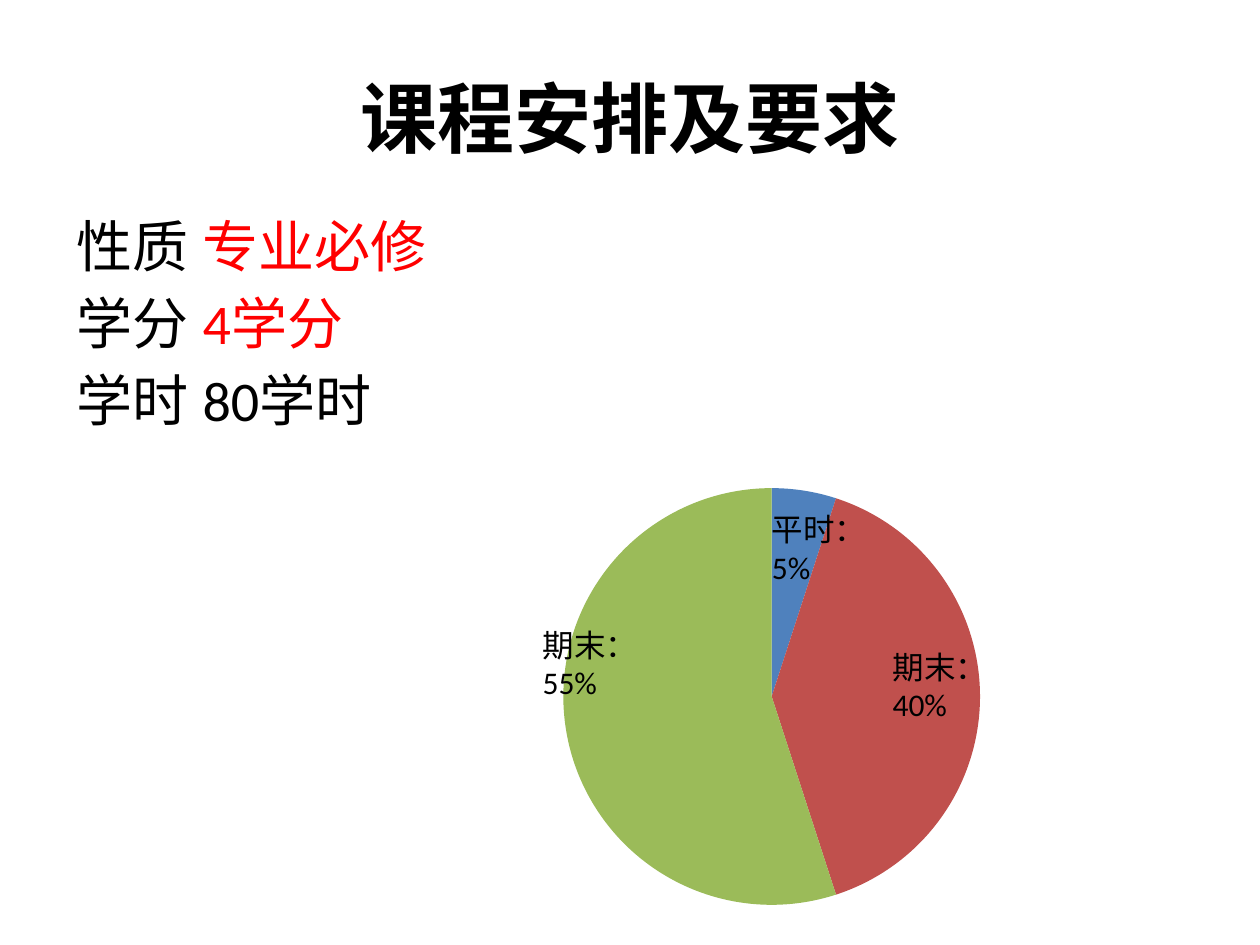
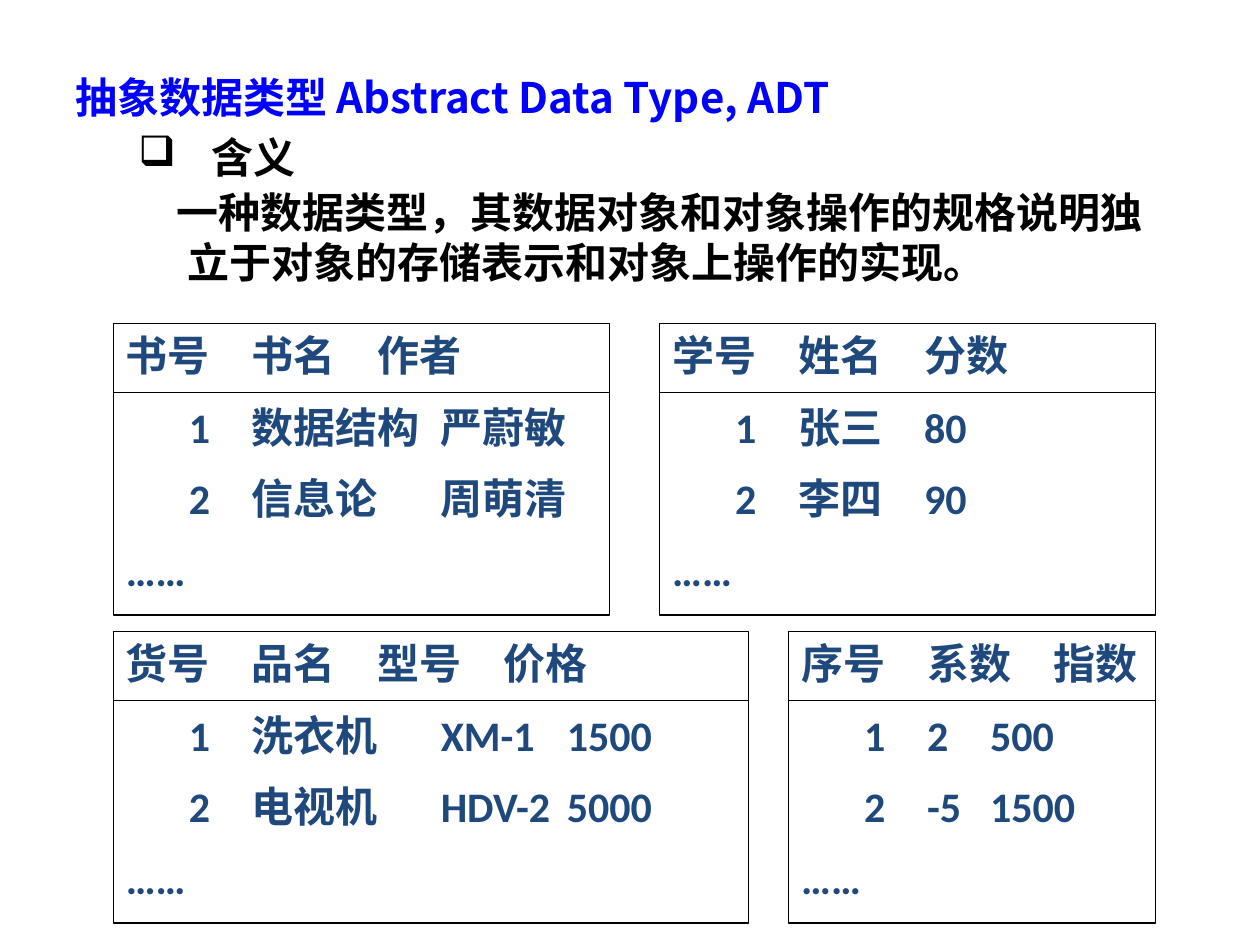
from dataclasses import dataclass

from lxml.etree import SubElement
from pptx import Presentation
from pptx.chart.data import CategoryChartData
from pptx.dml.color import RGBColor
from pptx.enum.chart import XL_CHART_TYPE as ChartType
from pptx.enum.shapes import MSO_CONNECTOR as Connector, MSO_SHAPE as ShapeType
from pptx.enum.text import MSO_ANCHOR as Anchor, PP_ALIGN as Align
from pptx.oxml.ns import qn
from pptx.util import Pt

COLORS = {
    "black": "000000", "white": "FFFFFF", "red": "FF0000", "blue": "0000FF",
    "navy": "1F497D", "usual": "4F81BD", "midterm": "C0504D", "final": "9BBB59",
}
BODY_FONT, TITLE_FONT, SERIF_FONT = "Calibri", "Noto Sans CJK SC", "Times New Roman"


@dataclass(frozen=True)
class Line:
    """One paragraph: (text, colour) runs, tab stops and indents in points."""
    runs: tuple[tuple[str, str], ...]
    tabs: tuple[float, ...] = ()
    left: float = 0
    hanging: float = 0
    bullet: str = ""


@dataclass(frozen=True)
class Record:
    """A framed list: rows of cells with their column positions in points."""
    left: float
    top: float
    width: float
    rows: tuple[tuple[str, tuple[float, ...]], ...]


def rgb(name: str) -> RGBColor:
    return RGBColor.from_string(COLORS[name])


def line(text: str, color: str = "black", **layout) -> Line:
    return Line(((text, color),), **layout)


def write(shape, lines: list[Line], *, size: float = 18, font: str = BODY_FONT,
          bold: bool = False, align=Align.LEFT, anchor=Anchor.TOP,
          before: float = 0, wrap: bool = True) -> None:
    frame = shape.text_frame
    frame.word_wrap = wrap
    frame.vertical_anchor = anchor
    for index, item in enumerate(lines):
        paragraph = frame.add_paragraph() if index else frame.paragraphs[0]
        paragraph.alignment = align
        paragraph.space_before = Pt(before if index else 0)
        properties = paragraph._p.get_or_add_pPr()
        properties.set("marL", str(Pt(item.left)))
        properties.set("indent", str(Pt(-item.hanging)))
        if item.bullet:
            SubElement(properties, qn("a:buChar"), char=item.bullet)
        if item.tabs:
            stops = SubElement(properties, qn("a:tabLst"))
            for position in item.tabs:
                SubElement(stops, qn("a:tab"), pos=str(Pt(position)), algn="l")
        for text, color in item.runs:
            run = paragraph.add_run()
            run.text = text
            run.font.size, run.font.name, run.font.bold = Pt(size), font, bold
            run.font.color.rgb = rgb(color)


def add_text(slide, box: tuple[float, ...], lines: list[Line], **style) -> None:
    write(slide.shapes.add_textbox(*map(Pt, box)), lines, **style)


def add_pie(slide, box: tuple[float, ...], shares: dict[str, int]) -> None:
    data = CategoryChartData()
    data.categories = [str(number + 1) for number in range(len(shares))]
    data.add_series("Series 1", list(shares.values()))
    chart = slide.shapes.add_chart(ChartType.PIE, *map(Pt, box), data).chart
    chart.has_legend = chart.has_title = False
    chart.font.size, chart.font.name = Pt(18), BODY_FONT
    chart.font.color.rgb = rgb("black")
    plot = chart.plots[0]
    plot.vary_by_categories = True
    for index, color in enumerate(shares):
        fill = plot.series[0].points[index].format.fill
        fill.solid()
        fill.fore_color.rgb = rgb(color)


def add_record(slide, record: Record) -> None:
    height, header_height = 166.5, 39.5
    group = slide.shapes.add_group_shape()
    frame = group.shapes.add_shape(
        ShapeType.RECTANGLE, *map(Pt, (record.left, record.top, record.width, height)))
    frame.shadow.inherit = False
    frame.fill.solid()
    frame.fill.fore_color.rgb = rgb("white")
    rows = [line(text, "navy", tabs=tabs) for text, tabs in record.rows]
    write(frame, [*rows, line("……", "navy")], size=24, bold=True, before=12)
    rule_y = record.top + header_height
    rule = group.shapes.add_connector(Connector.STRAIGHT, *map(
        Pt, (record.left, rule_y, record.left + record.width, rule_y)))
    SubElement(rule._element.spPr, qn("a:effectLst"))
    for outlined in (frame, rule):
        outlined.line.color.rgb = rgb("black")
        outlined.line.width = Pt(0.75)


def build_course_slide(slide) -> None:
    add_text(slide, (36, 21.6, 648, 90), [line("课程安排及要求")], size=44,
             font=TITLE_FONT, bold=True, align=Align.CENTER, anchor=Anchor.MIDDLE)
    add_pie(slide, (174, 269, 534, 258), {"usual": 5, "midterm": 40, "final": 55})
    add_text(slide, (36.7, 117.4, 648, 413), [
        Line((("性质\t", "black"), ("专业必修", "red")), tabs=(93,)),
        Line((("学分\t", "black"), ("4学分", "red")), tabs=(107.5,)),
        line("学时\t80学时", tabs=(107.5,)),
    ], size=32, before=5.5)
    # Pie labels
    for left, top, name, share in ((434, 288, "平时：", "5%"),
                                   (503, 366.5, "期末：", "40%"),
                                   (303, 354, "期末：", "55%")):
        add_text(slide, (left, top, 69, 51), [line(name), line(share)], wrap=False)


# Column positions: headers start at the left edge, data rows at the first tab
FIRST = 10.5
BOOK, STUDENT, GOODS = (FIRST, 76.5, 196.5), (FIRST, 100.5, 202.5), (FIRST, 76.5, 178.5, 278)
UPPER, LOWER, LEFT = 185, 361, 64.8
RECORDS = (
    Record(LEFT, UPPER, 283.5, (
        ("书号\t书名\t作者", (72, 192)),
        ("\t1\t数据结构\t严蔚敏", BOOK),
        ("\t2\t信息论\t周萌清", BOOK))),
    Record(377, UPPER, 283.5, (
        ("学号\t姓名\t分数", (96, 192)),
        ("\t1\t张三\t80", STUDENT),
        ("\t2\t李四\t90", STUDENT))),
    Record(LEFT, LOWER, 363, (
        ("货号\t品名\t型号\t价格", (72, 168, 264)),
        ("\t1\t洗衣机\tXM-1\t1500", GOODS),
        ("\t2\t电视机\tHDV-2\t5000", GOODS))),
    Record(450.7, LOWER, 209.8, (
        ("序号\t系数\t指数", (53.5, 106.5)),
        ("\t1\t2\t500", (FIRST, 66, 99.5)),
        ("\t2\t-5\t1500", (FIRST, 60.5, 116)))),
)


def build_data_type_slide(slide) -> None:
    # Heading and bullet
    add_text(slide, (36, 37.4, 637, 36),
             [line("抽象数据类型 Abstract Data Type, ADT", "blue")],
             size=24, font=TITLE_FONT, bold=True)
    add_text(slide, (36, 71.5, 637, 36),
             [line("含义", left=78, hanging=42, bullet="❑")], size=24, bold=True)
    for record in RECORDS:
        add_record(slide, record)
    # Definition
    add_text(slide, (45.4, 103, 674.6, 65.5), [
        line("一种数据类型，其数据对象和对象操作的规格说明独", left=48.5),
        line("立于对象的存储表示和对象上操作的实现。", left=54.5),
    ], size=24, font=SERIF_FONT, bold=True)


def main() -> None:
    presentation = Presentation()
    presentation.slide_width, presentation.slide_height = Pt(720), Pt(540)
    for build in (build_course_slide, build_data_type_slide):
        build(presentation.slides.add_slide(presentation.slide_layouts[6]))
    presentation.save("out.pptx")


if __name__ == "__main__":
    main()
